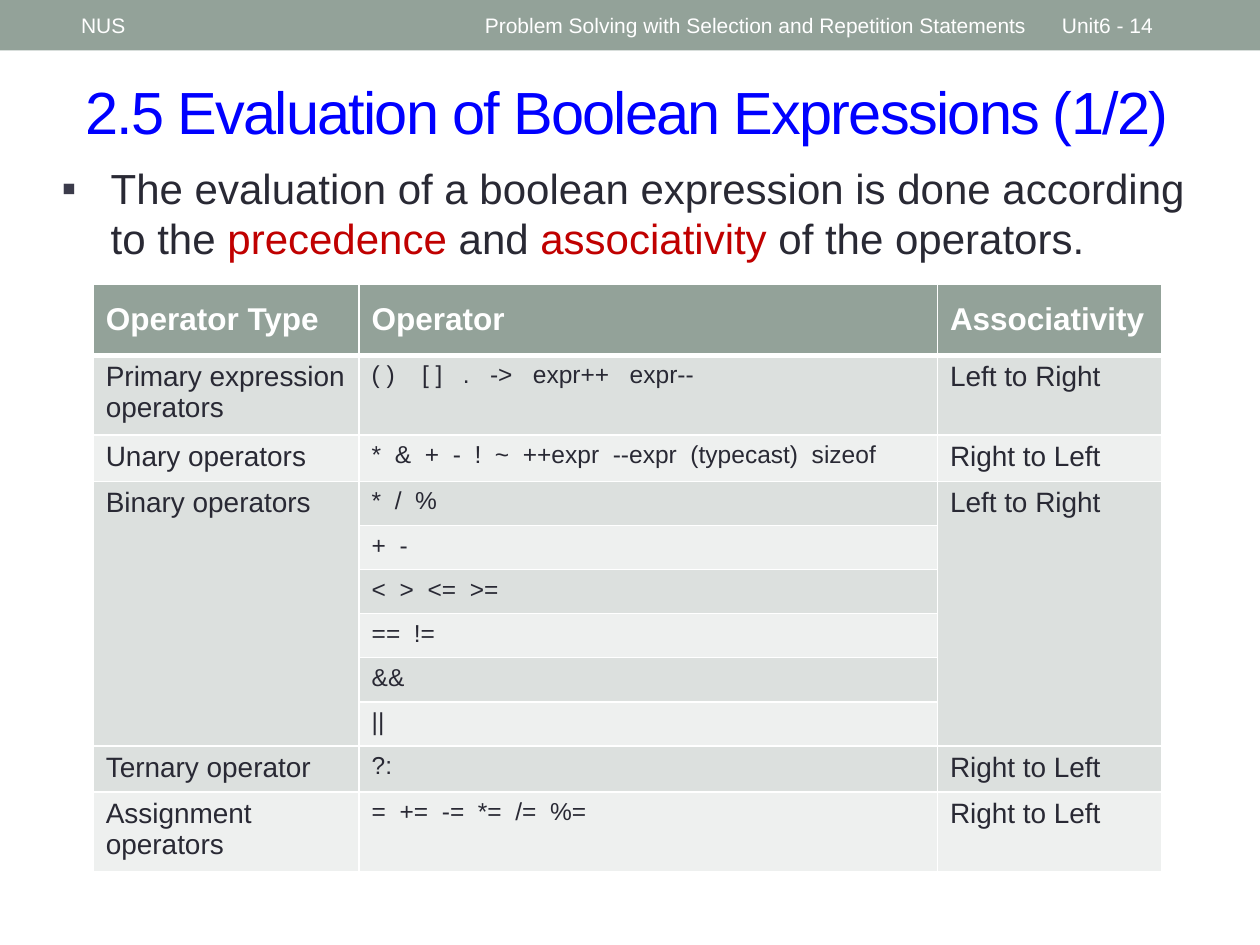
from collections import namedtuple
from dataclasses import dataclass

from lxml.etree import SubElement
from pptx import Presentation
from pptx.dml.color import RGBColor
from pptx.enum.shapes import MSO_SHAPE
from pptx.enum.text import MSO_ANCHOR
from pptx.oxml.ns import qn
from pptx.util import Emu, Inches, Pt

Box = namedtuple("Box", "x y w h")


@dataclass(frozen=True)
class Theme:
    font: str = "Arial"
    sage: str = "93A299"
    dark: str = "DCE0DE"
    light: str = "EEF0EF"
    white: str = "FFFFFF"
    ink: str = "292934"
    mark: str = "3B3B4B"
    blue: str = "0000FF"
    red: str = "C00000"
    title: int = 34
    body: int = 24
    head: int = 18
    label: int = 16
    code: int = 14
    small: int = 12


T = Theme()
WIDE, HIGH = Inches(10), Inches(7.5)
COLS, ROWS = 100, 75  # slide grid


def col(n):
    return Emu(round(WIDE * n / COLS))


def row(n):
    return Emu(round(HIGH * n / ROWS))


def rgb(code):
    return RGBColor.from_string(code)


def within(box, x, y, w, h):
    return Box(box.x + x, box.y + y, w, h)


def place(box):
    return col(box.x), row(box.y), col(box.w), row(box.h)


def write(para, text, size=T.body, color=T.ink, bold=False, track=None):
    run = para.add_run()
    run.text = text
    font = run.font
    font.name, font.size, font.bold = T.font, Pt(size), bold
    font.color.rgb = rgb(color)
    if track is not None:
        run._r.get_or_add_rPr().set("spc", str(track * 100))


def frame(slide, box, anchor=MSO_ANCHOR.TOP):
    area = slide.shapes.add_textbox(*place(box)).text_frame
    area.word_wrap = True
    area.vertical_anchor = anchor
    return area


# Top band with course, topic and page
def band(slide, box):
    bar = slide.shapes.add_shape(MSO_SHAPE.RECTANGLE, *place(box))
    bar.shadow.inherit = False
    bar.fill.solid()
    bar.fill.fore_color.rgb = rgb(T.sage)
    bar.line.fill.background()
    topic = "Problem Solving with Selection and Repetition Statements"
    for text, x, wide in (("NUS", 5.45, 31.25), (topic, 37.5, 45),
                          ("Unit6 - 14", 83.3, 11.7)):
        area = frame(slide, within(box, x, 0.2, wide, 3.6), MSO_ANCHOR.MIDDLE)
        write(area.paragraphs[0], text, size=T.small, color=T.white)


def title(slide, box):
    area = frame(slide, box, MSO_ANCHOR.MIDDLE)
    write(area.paragraphs[0], "2.5 Evaluation of Boolean Expressions (1/2)",
          size=T.title, color=T.blue, track=-1)


# Bulleted statement with two key words
def point(slide, box):
    para = frame(slide, box).paragraphs[0]
    props = para._p.get_or_add_pPr()
    hang = col(3.9)
    props.set("marL", str(hang))
    props.set("indent", str(-hang))
    tint = SubElement(props, qn("a:buClr"))
    SubElement(tint, qn("a:srgbClr"), val=T.mark)
    SubElement(props, qn("a:buFont"), typeface=T.font)
    SubElement(props, qn("a:buChar"), char="▪")
    for text, color in (
            ("The evaluation of a boolean expression is done according to the ",
             T.ink),
            ("precedence", T.red), (" and ", T.ink),
            ("associativity", T.red), (" of the operators.", T.ink)):
        write(para, text, color=color)


def edge(cell, base):
    props = cell._tc.get_or_add_tcPr()
    for side, wide in (("L", 1), ("R", 1), ("T", 1), ("B", base)):
        line = SubElement(props, qn(f"a:ln{side}"), w=str(Pt(wide)))
        fill = SubElement(line, qn("a:solidFill"))
        SubElement(fill, qn("a:srgbClr"), val=T.white)


def paint(cell, fill, base=1):
    edge(cell, base)
    cell.fill.solid()
    cell.fill.fore_color.rgb = rgb(fill)


# Operator groups: type, operator rows, associativity, row height
GROUPS = (
    ("Primary expression operators",
     ["( )    [ ]   .   ->   expr++   expr--"], "Left to Right", 5.9),
    ("Unary operators",
     ["*  &  +  -  !  ~  ++expr  --expr  (typecast)  sizeof"],
     "Right to Left", 3.5),
    ("Binary operators",
     ["*  /  %", "+  -", "<  >  <=  >=", "==  !=", "&&", "||"],
     "Left to Right", 3.5),
    ("Ternary operator", ["?:"], "Right to Left", 3.5),
    ("Assignment operators", ["=  +=  -=  *=  /=  %="], "Right to Left", 5.9),
)


def chart(slide, box):
    count = 1 + sum(len(ops) for _, ops, _, _ in GROUPS)
    grid = slide.shapes.add_table(count, 3, *place(box)).table
    for part, wide in zip(grid.columns, (21.1, 45.9, 17.8)):
        part.width = col(wide)

    # Heading row
    grid.rows[0].height = row(5.6)
    for i, text in enumerate(("Operator Type", "Operator", "Associativity")):
        cell = grid.cell(0, i)
        paint(cell, T.sage, base=3)
        cell.vertical_anchor = MSO_ANCHOR.MIDDLE
        write(cell.text_frame.paragraphs[0], text,
              size=T.head, color=T.white, bold=True)

    # Banded rows, outer columns merged over each group
    top = 1
    for kind, ops, order, tall in GROUPS:
        for at, text in enumerate(ops, top):
            grid.rows[at].height = row(tall)
            for i in range(3):
                paint(grid.cell(at, i), T.dark if at % 2 else T.light)
            write(grid.cell(at, 1).text_frame.paragraphs[0], text, size=T.code)
        for i, text in ((0, kind), (2, order)):
            cell = grid.cell(top, i)
            if len(ops) > 1:
                cell.merge(grid.cell(top + len(ops) - 1, i))
            write(cell.text_frame.paragraphs[0], text, size=T.label)
        top += len(ops)


def main():
    deck = Presentation()
    deck.slide_width, deck.slide_height = WIDE, HIGH
    slide = deck.slides.add_slide(deck.slide_layouts[6])
    band(slide, Box(0, 0, COLS, 4))
    title(slide, Box(5.8, 4.2, 91.7, 9.2))
    point(slide, Box(3.9, 12.4, 91.8, 12.4))
    chart(slide, Box(7.4, 22.6, 84.8, 45.4))
    deck.save("out.pptx")


if __name__ == "__main__":
    main()
